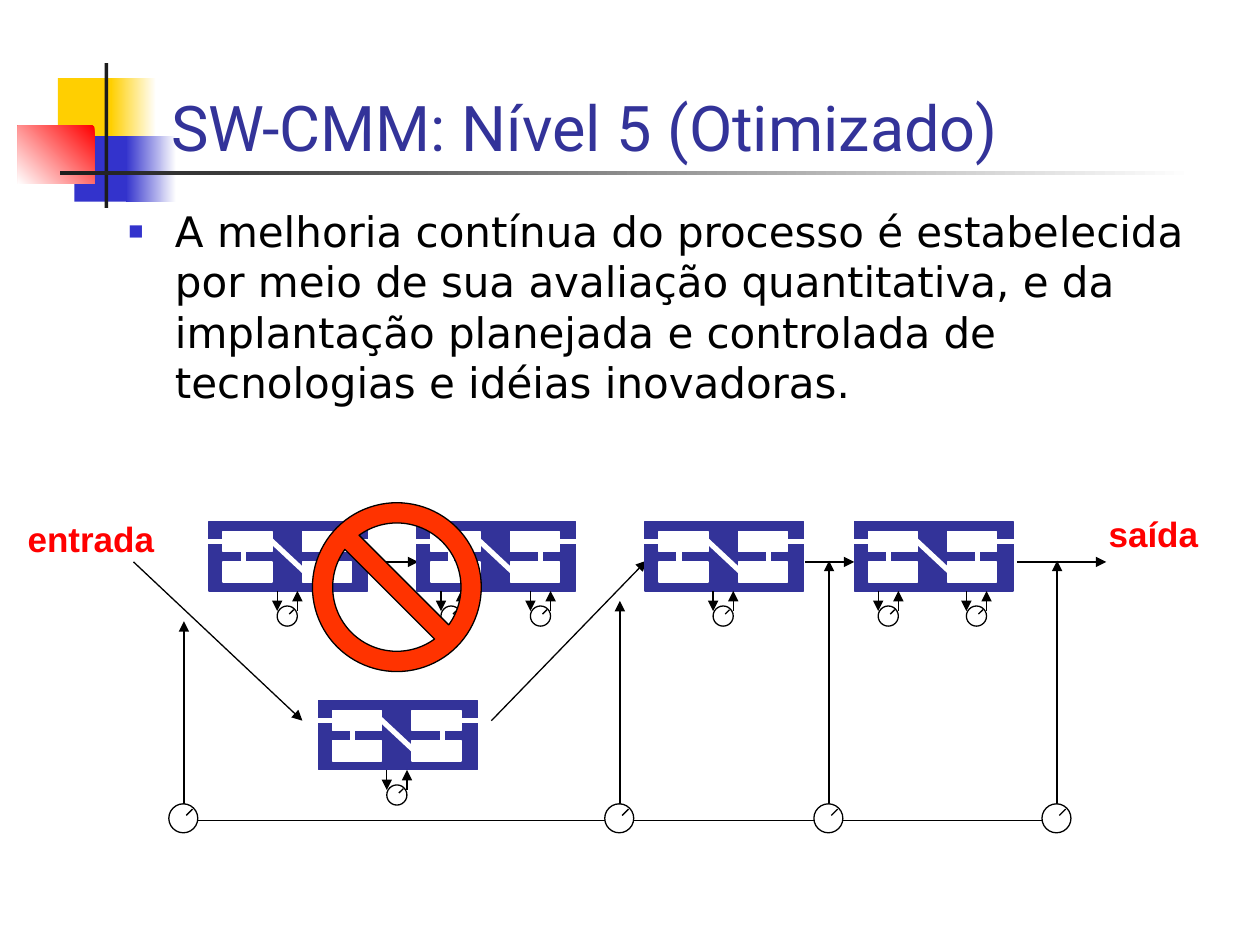
"""Build the slide on SW-CMM level 5 with its process diagram."""
import pptx
import pptx.dml.color
import pptx.enum.shapes
import pptx.enum.text
import pptx.oxml.ns
import pptx.util
from lxml import etree
from pptx.util import Inches

RGBColor = pptx.dml.color.RGBColor
Shape = pptx.enum.shapes.MSO_SHAPE
Anchor = pptx.enum.text.MSO_ANCHOR
AutoSize = pptx.enum.text.MSO_AUTO_SIZE
qn = pptx.oxml.ns.qn

WHITE = RGBColor(0xFF, 0xFF, 0xFF)
BLACK = RGBColor(0x00, 0x00, 0x00)
CHARCOAL = RGBColor(0x1C, 0x1C, 0x1C)
YELLOW = RGBColor(0xFF, 0xCF, 0x01)
BLUE = RGBColor(0x33, 0x33, 0xCC)
NAVY = RGBColor(0x33, 0x33, 0x99)
RED = RGBColor(0xFF, 0x00, 0x00)
ORANGE = RGBColor(0xFF, 0x33, 0x00)


def add_shape(shapes, kind, box, fill, line=None, angle=0):
    shape = shapes.add_shape(kind, *map(Inches, box))
    shape.shadow.inherit = False
    if isinstance(fill, tuple) and not isinstance(fill, RGBColor):
        shape.fill.gradient()
        shape.fill.gradient_angle = angle
        for stop, color in zip(shape.fill.gradient_stops, fill):
            stop.color.rgb = color
    else:
        shape.fill.solid()
        shape.fill.fore_color.rgb = fill
    if line is None:
        shape.line.fill.background()
    else:
        shape.line.color.rgb = line
        shape.line.width = pptx.util.Pt(0.75)
    return shape


def add_line(shapes, points, color=BLACK, width=0.75, arrow=False):
    connector = shapes.add_connector(
        pptx.enum.shapes.MSO_CONNECTOR.STRAIGHT, *map(Inches, points))
    connector.line.color.rgb = color
    connector.line.width = pptx.util.Pt(width)
    if arrow:
        etree.SubElement(connector.line._get_or_add_ln(), qn("a:tailEnd"), type="triangle")
    etree.SubElement(connector._element.spPr, qn("a:effectLst"))


presentation = pptx.Presentation()
presentation.slide_width = Inches(10)
presentation.slide_height = Inches(7.5)
slide = presentation.slides.add_slide(presentation.slide_layouts[6])

decorations = [
    ((0.46, 0.62, 0.48, 0.52), YELLOW, 0),
    ((0.88, 0.62, 0.36, 0.52), (WHITE, YELLOW), 180),
    ((0.59, 1.08, 0.46, 0.52), BLUE, 0),
    ((1, 1.08, 0.4, 0.52), (WHITE, BLUE), 180),
    ((0.14, 1, 0.61, 0.46), (RED, WHITE), 225),
    ((0.83, 0.5, 0.03, 1.15), CHARCOAL, 0),
    ((0.48, 1.36, 9, 0.03), (WHITE, CHARCOAL), 180),
]
for box, fill, angle in decorations:
    add_shape(slide.shapes, Shape.RECTANGLE, box, fill, angle=angle)

title_frame = {"word_wrap": True, "vertical_anchor": Anchor.BOTTOM}
label_frame = {"word_wrap": False, "auto_size": AutoSize.SHAPE_TO_FIT_TEXT}
body_frame = {"word_wrap": True, "vertical_anchor": Anchor.TOP}
title_font = {"name": "Roboto", "size": pptx.util.Pt(36)}
label_font = {"name": "Arial", "size": pptx.util.Pt(20), "bold": True}
body_font = {"name": "DejaVu Sans", "size": pptx.util.Pt(24)}
body_text = (
    "A melhoria contínua do processo é estabelecida por meio de sua avaliação "
    "quantitativa, e da implantação planejada e controlada de tecnologias e "
    "idéias inovadoras."
)
texts = [
    ("SW-CMM: Nível 5 (Otimizado)", (1.26, 0.21, 8.52, 1.14), title_frame, title_font, NAVY),
    ("entrada", (0.12, 4.06, 1.25, 0.44), label_frame, label_font, RED),
    ("saída", (8.7, 4.02, 0.95, 0.44), label_frame, label_font, RED),
    (body_text, (0.92, 1.58, 8.88, 5.17), body_frame, body_font, BLACK),
]
for text, box, frame_format, font_format, color in texts:
    text_frame = slide.shapes.add_textbox(*map(Inches, box)).text_frame
    for name, value in frame_format.items():
        setattr(text_frame, name, value)
    paragraph = text_frame.paragraphs[0]
    run = paragraph.add_run()
    run.text = text
    for name, value in font_format.items():
        setattr(run.font, name, value)
    run.font.color.rgb = color

paragraph.space_before = pptx.util.Pt(6)
properties = paragraph._p.get_or_add_pPr()
properties.set("marL", str(Inches(0.37)))
properties.set("indent", str(Inches(-0.37)))
bullet_color = etree.SubElement(properties, qn("a:buClr"))
etree.SubElement(bullet_color, qn("a:srgbClr"), val=str(BLUE))
etree.SubElement(properties, qn("a:buSzPct"), val="60000")
etree.SubElement(properties, qn("a:buFont"), typeface="Arial")
etree.SubElement(properties, qn("a:buChar"), char="■")

flow_arrows = [
    (1.06, 4.46, 2.4, 5.72),
    (2.93, 4.46, 3.32, 4.46),
    (3.9, 5.72, 5.13, 4.45),
    (6.39, 4.46, 6.78, 4.46),
    (8.07, 4.46, 8.78, 4.46),
]
for points in flow_arrows:
    add_line(slide.shapes, points, arrow=True)

add_line(slide.shapes, (1.46, 6.51, 8.39, 6.51))
probes = [(1.46, 4.93), (4.92, 4.77), (6.58, 4.45), (8.39, 4.45)]
for x, tip in probes:
    add_line(slide.shapes, (x, 6.51, x, tip), arrow=True)
gauges = [(slide.shapes.add_group_shape().shapes, x - 0.12, 6.38, 0.23) for x, tip in probes]

module_lines = [
    (-0.05, 0.16, 0.19, 0.16),
    (1.06, 0.16, 1.29, 0.16),
    (0.47, 0.13, 0.77, 0.41),
    (0.27, 0.4, 0.27, 0.16),
    (0.98, 0.4, 0.98, 0.16),
]
modules = [
    (1.66, 4.14, [0.54]),
    (5.12, 4.14, [0.54]),
    (6.78, 4.14, [0.19, 0.89]),
    (3.31, 4.14, [0.19, 0.9]),
    (2.53, 5.56, [0.54]),
]
for left, top, gauge_offsets in modules:
    shapes = slide.shapes.add_group_shape().shapes
    add_shape(shapes, Shape.RECTANGLE, (left, top, 1.26, 0.55), NAVY, NAVY)
    for x in (0.11, 0.74):
        for y in (0.08, 0.32):
            add_shape(shapes, Shape.RECTANGLE, (left + x, top + y, 0.39, 0.16), WHITE, WHITE)
    for x1, y1, x2, y2 in module_lines:
        add_line(shapes, (left + x1, top + y1, left + x2, top + y2), WHITE, 3)
    for offset in gauge_offsets:
        x, bottom = left + offset, top + 0.55
        gauges.append((shapes, x, top + 0.67, 0.16))
        add_line(shapes, (x, bottom, x, bottom + 0.16), arrow=True)
        add_line(shapes, (x + 0.16, bottom + 0.16, x + 0.16, bottom), arrow=True)

for shapes, left, top, size in gauges:
    add_shape(shapes, Shape.OVAL, (left, top, size, size), WHITE, BLACK)
    near, far = 0.6 * size, 0.82 * size
    add_line(shapes, (left + near, top + size - near, left + far, top + size - far))

prohibition = add_shape(slide.shapes, Shape.NO_SYMBOL, (2.48, 3.99, 1.34, 1.34), ORANGE, BLACK)
prohibition.adjustments[0] = 0.12

presentation.save("out.pptx")
